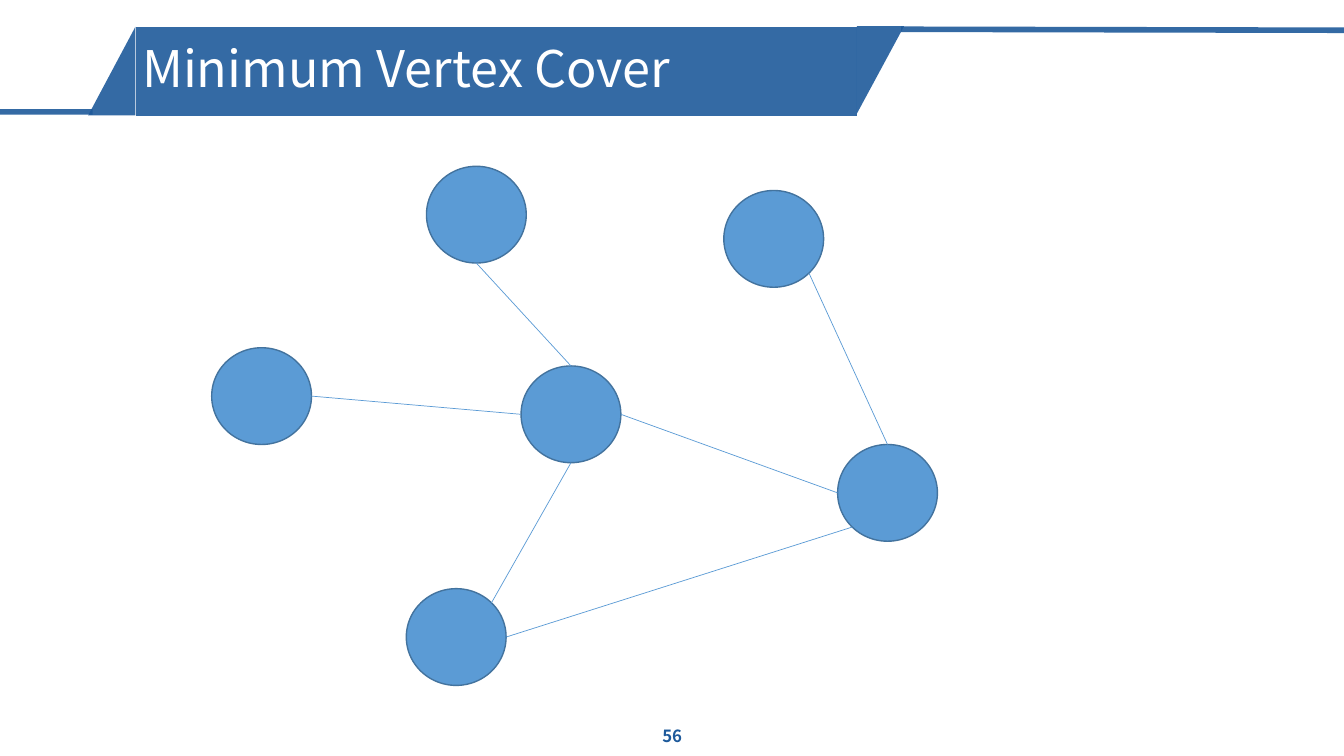
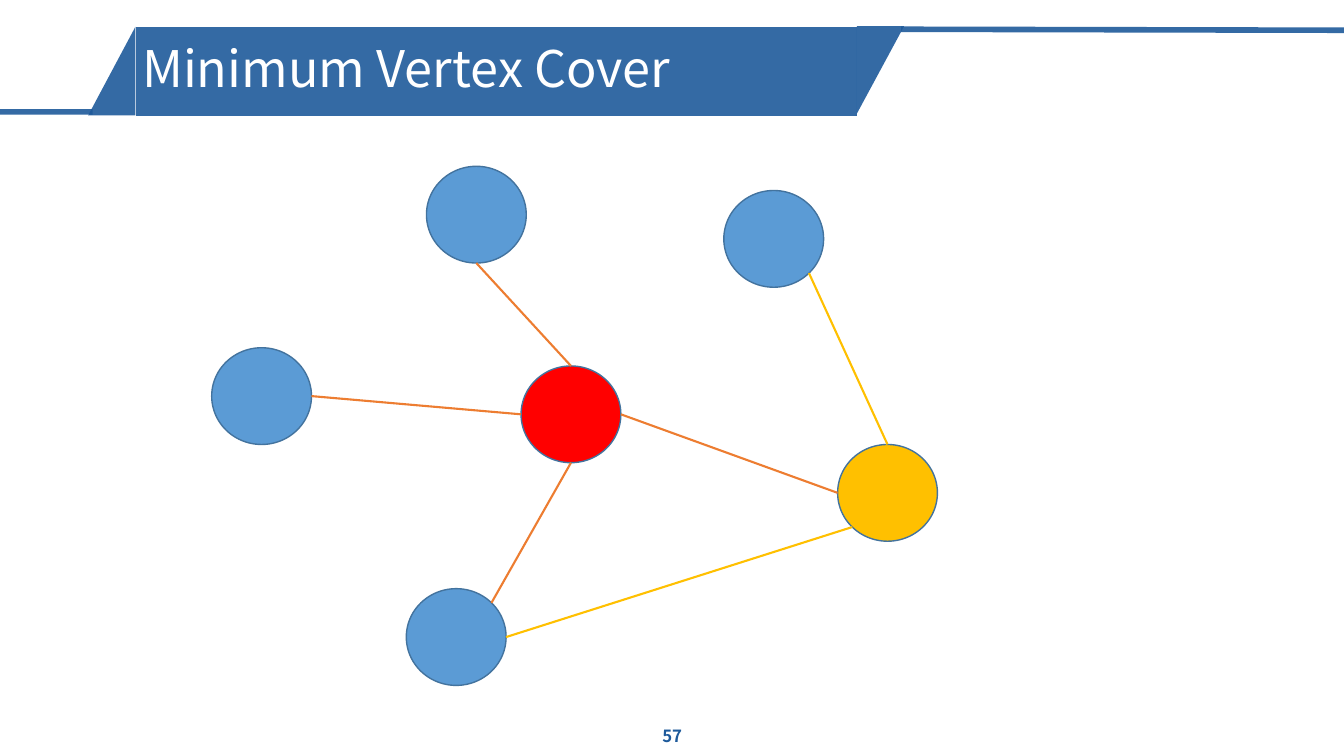
from math import cos, radians, sin

from lxml.etree import SubElement
from pptx import Presentation
from pptx.dml.color import RGBColor
from pptx.enum.shapes import MSO_CONNECTOR, MSO_SHAPE
from pptx.enum.text import MSO_ANCHOR, MSO_AUTO_SIZE, PP_ALIGN
from pptx.oxml.ns import qn
from pptx.util import Pt

NODE_W, NODE_H = 71.3, 69.1
NODES = {
    "top": (304.6, 118.8),
    "left": (151.2, 248.4),
    "hub": (372.2, 261.4),
    "bottom": (290.2, 420.5),
    "right": (598.3, 317.5),
    "upper right": (517, 136.1),
}
# Covering node and its site, then the other node and its site.
# Ellipse sites run counter-clockwise in 45° steps from the top.
EDGES = [
    ("hub", 2, "left", 6),
    ("hub", 4, "bottom", 7),
    ("right", 0, "upper right", 5),
    ("hub", 6, "right", 2),
    ("right", 3, "bottom", 6),
    ("hub", 0, "top", 4),
]
COVER = {"hub": ("FF0000", "ED7D31"), "right": ("FFC000", "FFC000")}


def rgb(color):
    return RGBColor.from_string(color)


def fade(sp, percent=90):
    """Set the opacity of every colour in the shape's fill and line."""
    for clr in sp.element.spPr.iter(qn("a:srgbClr")):
        SubElement(clr, qn("a:alpha"), val=str(percent * 1000))


def site_point(name, site):
    left, top = NODES[name]
    angle = radians(90 + 45 * site)
    return (left + NODE_W / 2 * (1 + cos(angle)),
            top + NODE_H / 2 * (1 - sin(angle)))


class Deck:
    FONT = "Noto Sans CJK KR"
    NAVY, BLUE, OUTLINE, WHITE = "1E5A9B", "5B9BD5", "43739E", "FFFFFF"

    def __init__(self):
        self.prs = Presentation()
        self.prs.slide_width, self.prs.slide_height = Pt(960), Pt(540)
        self.s = None

    def new_slide(self, title, number):
        self.s = self.prs.slides.add_slide(self.prs.slide_layouts[5])
        self.band()
        self.title(title)
        self.page_number(number)

    def shape(self, kind, left, top, width, height, fill, outline=None):
        sp = self.s.shapes.add_shape(kind, Pt(left), Pt(top), Pt(width), Pt(height))
        sp.shadow.inherit = False
        sp.fill.solid()
        sp.fill.fore_color.rgb = rgb(fill)
        if outline:
            sp.line.color.rgb = rgb(outline)
            sp.line.width = Pt(1)
        else:
            sp.line.fill.background()
        return sp

    def line(self, begin, end, color, width):
        cxn = self.s.shapes.add_connector(
            MSO_CONNECTOR.STRAIGHT, *(Pt(v) for v in (*begin, *end)))
        cxn.line.color.rgb = rgb(color)
        cxn.line.width = Pt(width)
        SubElement(cxn.element.spPr, qn("a:effectLst"))
        return cxn

    def band(self):
        """Draw the slanted title band and the rules on both sides of it."""
        end = self.shape(MSO_SHAPE.RIGHT_TRIANGLE, 597.6, 33.1, 62.6, 33.8, self.NAVY)
        end.rotation = 90
        left_rule = self.line((66.2, 79.9), (0, 79.9), self.NAVY, 4)
        start = self.shape(MSO_SHAPE.RIGHT_TRIANGLE, 48.2, 33.8, 63.4, 33.8, self.NAVY)
        start.rotation = 270
        right_rule = self.line((960, 21.6), (643.7, 20.9), self.NAVY, 4)
        body = self.shape(MSO_SHAPE.RECTANGLE, 97.2, 19.4, 514.8, 63.4, self.NAVY)
        for sp in (end, left_rule, start, right_rule, body):
            fade(sp)

    def text_style(self, sp, text, size, color, align, bold=False):
        tf = sp.text_frame
        tf.text = text
        tf.word_wrap = True
        tf.auto_size = MSO_AUTO_SIZE.NONE
        tf.vertical_anchor = MSO_ANCHOR.MIDDLE
        p = tf.paragraphs[0]
        p.alignment = align
        p.font.name, p.font.size, p.font.bold = self.FONT, Pt(size), bold
        p.font.color.rgb = rgb(color)
        return p

    def title(self, text):
        sp = self.s.shapes.title
        sp.left, sp.top, sp.width, sp.height = Pt(94.3), Pt(21.6), Pt(514.8), Pt(58.3)
        p = self.text_style(sp, text, 36, self.WHITE, PP_ALIGN.LEFT)
        p.line_spacing, p.space_before = 0.9, Pt(10)
        self.s.shapes.element.append(sp.element)  # in front of the band

    def page_number(self, number):
        sp = self.s.shapes.add_textbox(Pt(372.2), Pt(511.2), Pt(216), Pt(28.8))
        self.text_style(sp, str(number), 12, self.NAVY, PP_ALIGN.CENTER, bold=True)

    def edge(self, begin, end, color, width):
        """Join two (name, site) ends and glue the line to their nodes."""
        cxn = self.line(site_point(*begin), site_point(*end), color, width)
        glue = next(cxn.element.iter(qn("p:cNvCxnSpPr")))
        for tag, (name, site) in (("a:stCxn", begin), ("a:endCxn", end)):
            SubElement(glue, qn(tag), id=str(self.nodes[name].shape_id), idx=str(site))

    def graph(self, cover):
        """Draw the graph; cover maps a node to its fill and edge colours."""
        self.nodes = {}
        for name, (left, top) in NODES.items():
            fill = cover[name][0] if name in cover else self.BLUE
            self.nodes[name] = self.shape(
                MSO_SHAPE.OVAL, left, top, NODE_W, NODE_H, fill, self.OUTLINE)
        for owner, site, other, other_site in EDGES:
            color, width = (cover[owner][1], 1.5) if owner in cover else (self.BLUE, 0.5)
            self.edge((owner, site), (other, other_site), color, width)


def main():
    deck = Deck()
    for number, cover in ((56, {}), (57, COVER)):
        deck.new_slide("Minimum Vertex Cover", number)
        deck.graph(cover)
    deck.prs.save("out.pptx")


if __name__ == "__main__":
    main()
